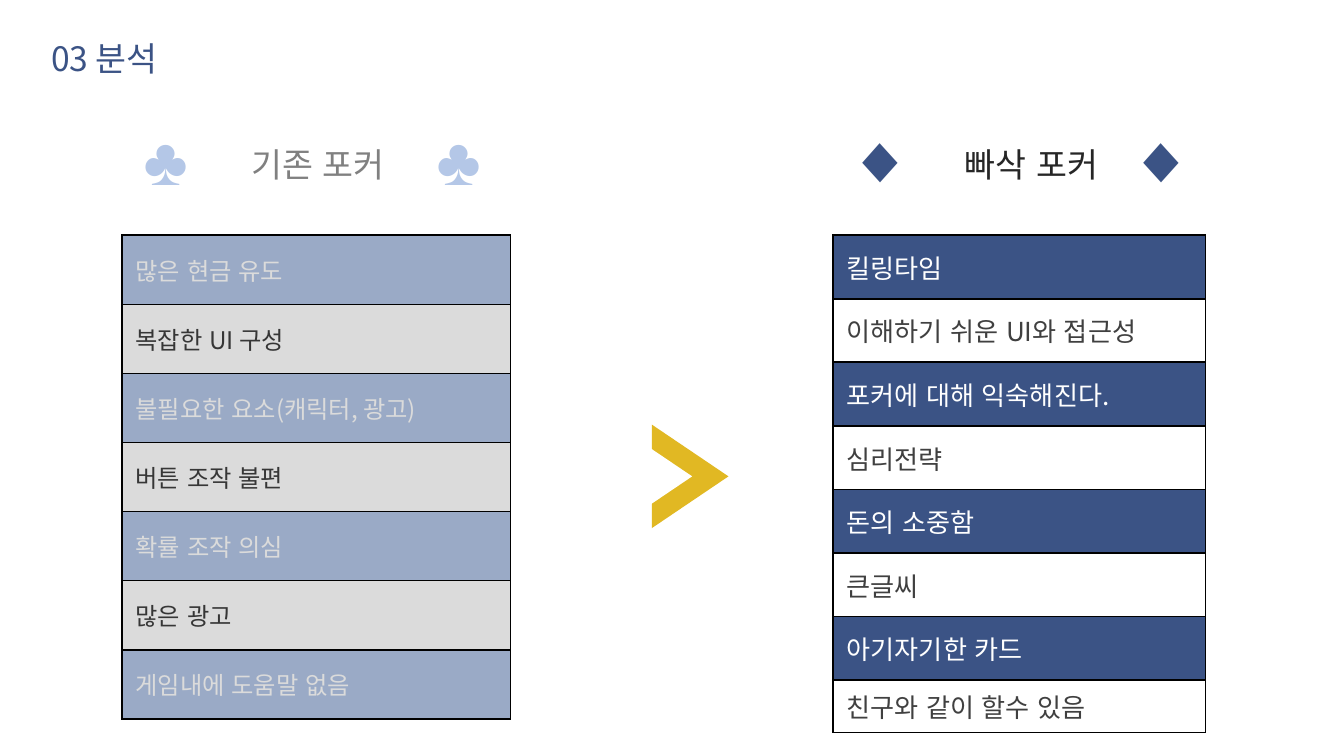
import pptx
import pptx.util
import pptx.dml.color
import pptx.enum.lang
import pptx.enum.shapes
import pptx.enum.text
import pptx.oxml
import pptx.oxml.ns
from lxml import etree

Inches = pptx.util.Inches
Shape = pptx.enum.shapes.MSO_SHAPE

THEME = {
    "font": "Noto Sans CJK KR", "symbol_font": "Arial",
    "navy": "3B5385", "sky": "B4C7E7", "gold": "E1B823", "white": "FFFFFF",
    "black": "000000", "ink": "262626", "body": "404040", "muted": "808080",
    "heading_size": 18, "symbol_size": 36, "border": 1, "veil_alpha": 14,
}

PAGE_WIDTH = 10
PAGE_HEIGHT = PAGE_WIDTH * 9 / 16
TITLE = "03 분석"
TABLE_TOP = 1.75
SYMBOL_TOP, SYMBOL_HEIGHT = 0.83, 0.71
HEADING_TOP = 1.02

OLD_GAME = {
    "heading": "기존 포커", "heading_left": 1.77, "heading_inset": 0.1,
    "heading_color": "muted",
    "symbol": "♣", "symbol_lefts": (0.97, 3.15), "symbol_width": 0.63,
    "symbol_fill": "white", "accent": "sky",
    "left": 0.91, "width": 2.89, "size": 13,
    "row_heights": [3.6 / 7] * 7, "veiled": True,
    "rows": ["많은 현금 유도", "복잡한 UI 구성", "불필요한 요소(캐릭터, 광고)",
             "버튼 조작 불편", "확률 조작 의심", "많은 광고", "게임내에 도움말 없음"],
}
NEW_GAME = {
    "heading": "빠삭 포커", "heading_left": 6.97, "heading_inset": 0.21,
    "heading_color": "ink",
    "symbol": "◆", "symbol_lefts": (6.2, 8.29), "symbol_width": 0.68,
    "symbol_fill": None, "accent": "navy",
    "left": 6.2, "width": 2.77, "size": 14,
    "row_heights": [3.31 / 7] * 7 + [0.39], "veiled": False,
    "rows": ["킬링타임", "이해하기 쉬운 UI와 접근성", "포커에 대해 익숙해진다.",
             "심리전략", "돈의 소중함", "큰글씨", "아기자기한 카드",
             "친구와 같이 할수 있음"],
}


def color(name):
    return pptx.dml.color.RGBColor.from_string(THEME[name])


def add_span(para, text, size, color_name, font="font"):
    para.alignment = pptx.enum.text.PP_ALIGN.LEFT
    span = para.add_run()
    span.text = text
    span.font.size = pptx.util.Pt(size)
    span.font.name = THEME[font]
    span.font.language_id = pptx.enum.lang.MSO_LANGUAGE_ID.KOREAN
    span.font.color.rgb = color(color_name)
    east_asian = pptx.oxml.parse_xml(
        f'<a:ea {pptx.oxml.ns.nsdecls("a")} typeface="{THEME[font]}"/>')
    span.font._element.find(pptx.oxml.ns.qn("a:latin")).addnext(east_asian)


def add_text(page, frame, text, size, color_name, font="font",
             inset=(0.1, 0.05), fill=None):
    box = page.shapes.add_textbox(*map(Inches, frame))
    if fill:
        box.fill.solid()
        box.fill.fore_color.rgb = color(fill)
    body = box.text_frame
    body.word_wrap = True
    body.margin_left, body.margin_top = map(Inches, inset)
    body.margin_right, body.margin_bottom = map(Inches, inset)
    add_span(body.paragraphs[0], text, size, color_name, font)


def add_plain_shape(shapes, kind, frame, fill):
    shape = shapes.add_shape(kind, *map(Inches, frame))
    shape.shadow.inherit = False
    shape.fill.solid()
    shape.fill.fore_color.rgb = color(fill)
    shape.line.fill.background()
    return shape


def add_borders(cell):
    properties = cell._tc.get_or_add_tcPr()
    width = pptx.util.Pt(THEME["border"])
    for index, side in enumerate(("lnL", "lnR", "lnT", "lnB")):
        properties.insert(index, pptx.oxml.parse_xml(
            f'<a:{side} {pptx.oxml.ns.nsdecls("a")} w="{width}"><a:solidFill>'
            f'<a:srgbClr val="{THEME["black"]}"/></a:solidFill></a:{side}>'))


def add_list_table(page, game):
    heights = game["row_heights"]
    table = page.shapes.add_table(
        len(heights), 1, Inches(game["left"]), Inches(TABLE_TOP),
        Inches(game["width"]), Inches(sum(heights))).table
    table.first_row = table.horz_banding = False
    for index, (text, height) in enumerate(zip(game["rows"], heights)):
        accented = index % 2 == 0
        table.rows[index].height = Inches(height)
        cell = table.cell(index, 0)
        cell.vertical_anchor = pptx.enum.text.MSO_ANCHOR.MIDDLE
        cell.fill.solid()
        cell.fill.fore_color.rgb = color(game["accent"] if accented else "white")
        add_borders(cell)
        add_span(cell.text_frame.paragraphs[0], text, game["size"],
                 "white" if accented else "body")


def add_veil(page, game):
    """Dim the whole table with a translucent dark sheet."""
    frame = (game["left"], TABLE_TOP, game["width"], sum(game["row_heights"]))
    veil = add_plain_shape(page.shapes, Shape.RECTANGLE, frame, "black")
    tint = veil._element.spPr.find(".//" + pptx.oxml.ns.qn("a:srgbClr"))
    alpha = etree.SubElement(tint, pptx.oxml.ns.qn("a:alpha"))
    alpha.set("val", str(THEME["veil_alpha"] * 1000))


def add_chevron(page):
    """A gold triangle notched by a white one."""
    group = page.shapes.add_group_shape()
    for left, fill in ((4.75, "gold"), (4.48, "white")):
        triangle = add_plain_shape(group.shapes, Shape.ISOSCELES_TRIANGLE,
                                   (left, 3.26, 0.77, 0.57), fill)
        triangle.rotation = 90


def add_game(page, game):
    for left in game["symbol_lefts"]:
        add_text(page, (left, SYMBOL_TOP, game["symbol_width"], SYMBOL_HEIGHT),
                 game["symbol"], THEME["symbol_size"], game["accent"],
                 "symbol_font", fill=game["symbol_fill"])
    add_list_table(page, game)
    add_text(page, (game["heading_left"], HEADING_TOP, 1.45, 0.4),
             game["heading"], THEME["heading_size"], game["heading_color"],
             inset=(game["heading_inset"], 0.05))
    if game["veiled"]:
        add_veil(page, game)


def main():
    deck = pptx.Presentation()
    deck.slide_width, deck.slide_height = Inches(PAGE_WIDTH), Inches(PAGE_HEIGHT)
    page = deck.slides.add_slide(deck.slide_layouts[6])
    add_text(page, (0.31, 0.24, 2.34, 0.38), TITLE, THEME["heading_size"],
             "navy", inset=(0.07, 0.04))
    add_chevron(page)
    for game in (OLD_GAME, NEW_GAME):
        add_game(page, game)
    deck.save("out.pptx")


if __name__ == "__main__":
    main()
